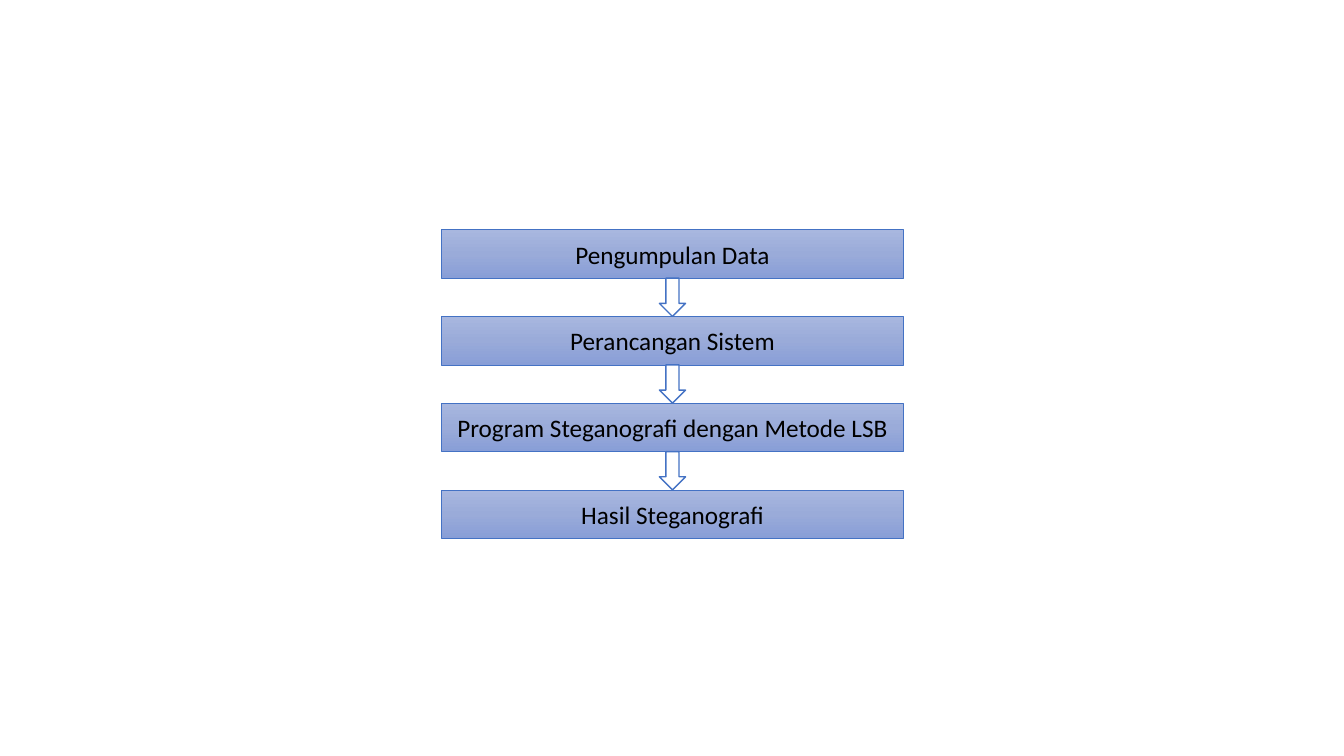
import copy
import pptx
import pptx.util
import pptx.dml.color
import pptx.enum.shapes
import pptx.enum.text
import pptx.oxml.ns

Inches, Pt = pptx.util.Inches, pptx.util.Pt
RGB = pptx.dml.color.RGBColor.from_string
SHAPES = pptx.enum.shapes.MSO_SHAPE

THEME = {
    "gradient": [(0, "A8B7DF"), (0.5, "9AABD9"), (1, "889ED7")],
    "outline": "4472C4",
    "arrow": "FFFFFF",
    "text": "000000",
    "font": "Calibri",
    "size": 18,
}

STAGES = [
    "Pengumpulan Data",
    "Perancangan Sistem",
    "Program Steganografi dengan Metode LSB",
    "Hasil Steganografi",
]

# Layout in inches
CENTER, TOP = 6.67, 2.28
STAGE_W, STAGE_H = 4.58, 0.48
ARROW_W, ARROW_H = 0.26, 0.38

deck = pptx.Presentation()
deck.slide_width, deck.slide_height = Inches(13.33), Inches(7.5)
slide = deck.slides.add_slide(deck.slide_layouts[6])


def add_outlined(kind, top, width, height, line_width):
    """Add a shape centred on the flow's axis."""
    shape = slide.shapes.add_shape(
        kind, Inches(CENTER - width / 2), Inches(top), Inches(width), Inches(height))
    shape.shadow.inherit = False
    shape.line.color.rgb = RGB(THEME["outline"])
    shape.line.width = Pt(line_width)
    return shape


for index, label in enumerate(STAGES):
    top = TOP + index * (STAGE_H + ARROW_H)

    # Stage box with a three-stop vertical gradient
    stage = add_outlined(SHAPES.RECTANGLE, top, STAGE_W, STAGE_H, 0.5)
    stage.fill.gradient()
    stage.fill.gradient_angle = 270
    stops = stage._element.spPr.find(".//" + pptx.oxml.ns.qn("a:gsLst"))
    stops.insert(1, copy.deepcopy(stops[0]))
    for stop, (position, color) in zip(stage.fill.gradient_stops, THEME["gradient"]):
        stop.position = position
        stop.color.rgb = RGB(color)

    # Stage label
    stage.text_frame.text = label
    stage.text_frame.word_wrap = True
    stage.text_frame.vertical_anchor = pptx.enum.text.MSO_ANCHOR.MIDDLE
    paragraph = stage.text_frame.paragraphs[0]
    paragraph.alignment = pptx.enum.text.PP_ALIGN.CENTER
    paragraph.font.name = THEME["font"]
    paragraph.font.size = Pt(THEME["size"])
    paragraph.font.color.rgb = RGB(THEME["text"])

    # Arrow to the next stage
    if index < len(STAGES) - 1:
        arrow = add_outlined(SHAPES.DOWN_ARROW, top + STAGE_H, ARROW_W, ARROW_H, 1)
        arrow.fill.solid()
        arrow.fill.fore_color.rgb = RGB(THEME["arrow"])

deck.save("out.pptx")
